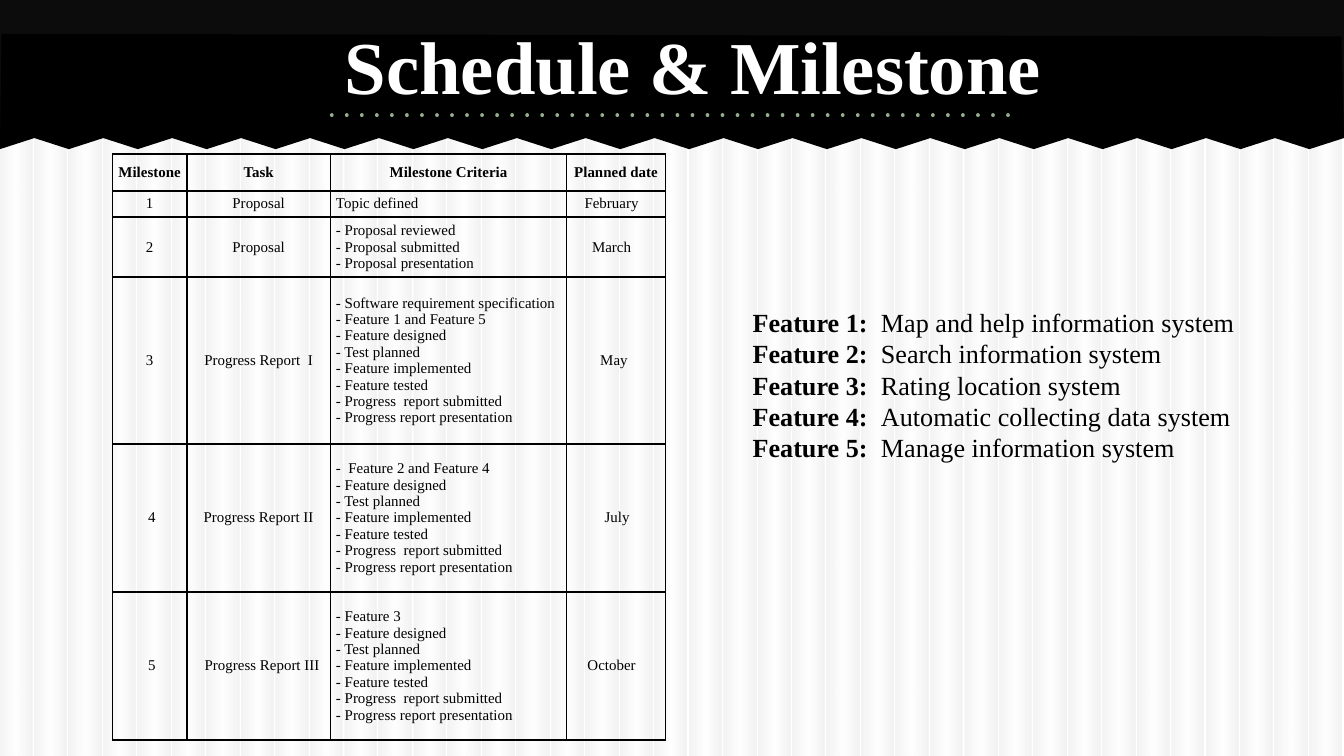
"""Build the schedule and milestone slide with its table and feature list."""
import lxml.etree
import pptx
import pptx.dml.color
import pptx.enum.shapes
import pptx.enum.text
import pptx.oxml.ns
import pptx.util

Cm, Pt = pptx.util.Cm, pptx.util.Pt
qn = pptx.oxml.ns.qn
ALIGN = pptx.enum.text.PP_ALIGN
MIDDLE = pptx.enum.text.MSO_ANCHOR.MIDDLE

WIDTH, HEIGHT = 25.4, 14.29
STRIPES = 39
STEP = WIDTH / STRIPES

DESIGN_STEPS = ["- Feature designed", "- Test planned", "- Feature implemented",
                "- Feature tested", "- Progress  report submitted",
                "- Progress report presentation"]
MILESTONES = [
    ("Milestone", "Task", ["Milestone Criteria"], "Planned date"),
    ("1", "Proposal", ["Topic defined"], "February"),
    ("2", "Proposal", ["- Proposal reviewed", "- Proposal submitted",
                       "- Proposal presentation"], "March"),
    ("3", "Progress Report  I", ["- Software requirement specification",
                                 "- Feature 1 and Feature 5"] + DESIGN_STEPS, "May"),
    ("4", "Progress Report II", ["-  Feature 2 and Feature 4"] + DESIGN_STEPS, "July"),
    ("5", "Progress Report III", ["- Feature 3"] + DESIGN_STEPS, "October"),
]
COLUMN_WIDTHS = [1.4, 2.72, 4.46, 1.87]
ROW_HEIGHTS = [0.7, 0.49, 1.14, 3.15, 2.8, 2.8]
EXTRA_LEFT = {"4": 0.08, "5": 0.08, "Progress Report III": 0.13, "July": 0.04}
EXTRA_RIGHT = {"February": 0.17, "March": 0.17, "May": 0.08, "October": 0.17}
FEATURES = ["Map and help information system", "Search information system",
            "Rating location system", "Automatic collecting data system",
            "Manage information system"]


def rgb(value):
    """Turn a hex string into a colour."""
    return pptx.dml.color.RGBColor.from_string(value)


def add_node(parent, tag, **attributes):
    """Append an XML child with the given attributes."""
    return lxml.etree.SubElement(parent, qn(tag), attributes)


class SlideWriter:
    """Hold the style and the current slide."""

    font_name = "Times New Roman"
    ink, paper = "000000", "FFFFFF"

    def __init__(self, page):
        """Start writing on a page."""
        self.page = page
        self.shapes = page.shapes

    def style(self, paragraph, size, color, bold=None):
        """Set the font of a whole paragraph."""
        font = paragraph.font
        font.name, font.size, font.bold = self.font_name, Pt(size), bold
        font.color.rgb = rgb(color)

    def place(self, shape, left, top, width, height):
        """Move a placeholder and bring it to the front."""
        shape.left, shape.top = Cm(left), Cm(top)
        shape.width, shape.height = Cm(width), Cm(height)
        self.shapes._spTree.append(shape._element)
        frame = shape.text_frame
        frame.word_wrap = True
        frame.auto_size = pptx.enum.text.MSO_AUTO_SIZE.NONE
        return frame

    def rectangle(self, left, top, width, height):
        """Add a plain rectangle without outline."""
        box = self.shapes.add_shape(pptx.enum.shapes.MSO_SHAPE.RECTANGLE,
                                    Cm(left), Cm(top), Cm(width), Cm(height))
        box.shadow.inherit = False
        box.line.fill.background()
        return box

    def solid(self, shape, color):
        """Fill a shape with one colour."""
        shape.fill.solid()
        shape.fill.fore_color.rgb = rgb(color)

    def stripe(self, left):
        """Add a translucent vertical stripe."""
        box = self.rectangle(left, 0.03, 0.61, HEIGHT - 0.03)
        box.fill.gradient()
        box.fill.gradient_angle = 0
        stops = box._element.spPr.find(".//" + qn("a:gsLst"))
        for stop in list(stops):
            stops.remove(stop)
        for position, color in ((0, "BFBFBF"), (50, "FFFFFF"), (97, "BFBFBF"), (100, "BFBFBF")):
            stop = add_node(stops, "a:gs", pos=str(position * 1000))
            add_node(add_node(stop, "a:srgbClr", val=color), "a:alpha", val="19000")

    def zigzag(self):
        """Add the black header with a toothed lower edge."""
        teeth = [(Cm(i * STEP), Cm(2.61 if i % 2 else 2.82)) for i in range(STRIPES + 1)]
        builder = self.shapes.build_freeform(Cm(0.03), Cm(0.64))
        builder.add_line_segments(teeth + [(Cm(25.35), Cm(0.69))], close=True)
        header = builder.convert_to_shape()
        header.shadow.inherit = False
        header.line.fill.background()
        self.solid(header, self.ink)

    def dotted_line(self, left, right, top):
        """Add a horizontal dotted line."""
        rule = self.shapes.add_connector(pptx.enum.shapes.MSO_CONNECTOR.STRAIGHT,
                                         Cm(left), Cm(top), Cm(right), Cm(top))
        rule.line.width = Pt(2)
        rule.line.color.rgb = rgb("94AE8E")
        outline = rule.line._get_or_add_ln()
        outline.set("cap", "rnd")
        add_node(outline, "a:prstDash", val="dot")
        add_node(rule._element.spPr, "a:effectLst")

    def cell(self, cell, lines, bold, align):
        """Fill one table cell and draw its borders."""
        cell.vertical_anchor = MIDDLE
        cell.margin_left = Cm(0.1 + EXTRA_LEFT.get(lines[0], 0))
        cell.margin_right = Cm(0.1 + EXTRA_RIGHT.get(lines[0], 0))
        cell.margin_top = cell.margin_bottom = 0
        cell.text = "\n".join(lines)
        for paragraph in cell.text_frame.paragraphs:
            self.style(paragraph, 8, self.ink, bold)
            paragraph.alignment = align
            paragraph.line_spacing = Pt(8.8)
        for side in "LRTB":
            border = add_node(cell._tc.get_or_add_tcPr(), "a:ln" + side, w=str(Pt(1)))
            add_node(add_node(border, "a:solidFill"), "a:srgbClr", val=self.ink)
        cell.fill.background()

    def table(self, left, top):
        """Add the milestone table."""
        grid = self.shapes.add_table(len(ROW_HEIGHTS), len(COLUMN_WIDTHS), Cm(left), Cm(top),
                                     Cm(sum(COLUMN_WIDTHS)), Cm(sum(ROW_HEIGHTS))).table
        grid.first_row = grid.horz_banding = False
        for column, width in zip(grid.columns, COLUMN_WIDTHS):
            column.width = Cm(width)
        for r, (row, height) in enumerate(zip(MILESTONES, ROW_HEIGHTS)):
            grid.rows[r].height = Cm(height)
            for c, content in enumerate(row):
                lines = content if isinstance(content, list) else [content]
                align = ALIGN.LEFT if r and c == 2 else ALIGN.CENTER
                self.cell(grid.cell(r, c), lines, r == 0, align)

    def title(self, text):
        """Write the slide title."""
        frame = self.place(self.shapes.title, 1.27, 0.03, 22.86, 2.39)
        frame.vertical_anchor = MIDDLE
        paragraph = frame.paragraphs[0]
        paragraph.text = text
        paragraph.alignment = ALIGN.CENTER
        self.style(paragraph, 40, self.paper, True)
        paragraph._p.get_or_add_pPr().set("indent", str(Cm(0.79)))

    def feature_list(self, features):
        """Write the numbered features in the body placeholder."""
        frame = self.place(self.page.placeholders[1], 12.7, 5.66, 12.7, 3.25)
        for number, feature in enumerate(features, 1):
            paragraph = frame.paragraphs[0] if number == 1 else frame.add_paragraph()
            label = paragraph.add_run()
            label.text = f"Feature {number}:  "
            label.font.bold = True
            paragraph.add_run().text = feature
            self.style(paragraph, 14, self.ink)
            paragraph.space_before = Pt(0)
            paragraph.line_spacing = Pt(16.8)
            properties = paragraph._p.get_or_add_pPr()
            properties.set("marL", str(Cm(1.27)))
            properties.set("indent", "0")
            properties.insert_element_before(
                properties.makeelement(qn("a:buNone"), {}), "a:tabLst", "a:defRPr", "a:extLst")


def main():
    """Build and save the deck."""
    deck = pptx.Presentation()
    deck.slide_width, deck.slide_height = Cm(WIDTH), Cm(HEIGHT)
    writer = SlideWriter(deck.slides.add_slide(deck.slide_layouts[1]))
    for i in range(STRIPES):
        writer.stripe(i * STEP)
    writer.solid(writer.rectangle(0, 0, WIDTH, 2.59), "0C0C0C")
    writer.zigzag()
    writer.dotted_line(6.27, 19.05, 2.18)
    writer.table(2.13, 2.91)
    writer.title("Schedule & Milestone")
    writer.feature_list(FEATURES)
    deck.save("out.pptx")


if __name__ == "__main__":
    main()
